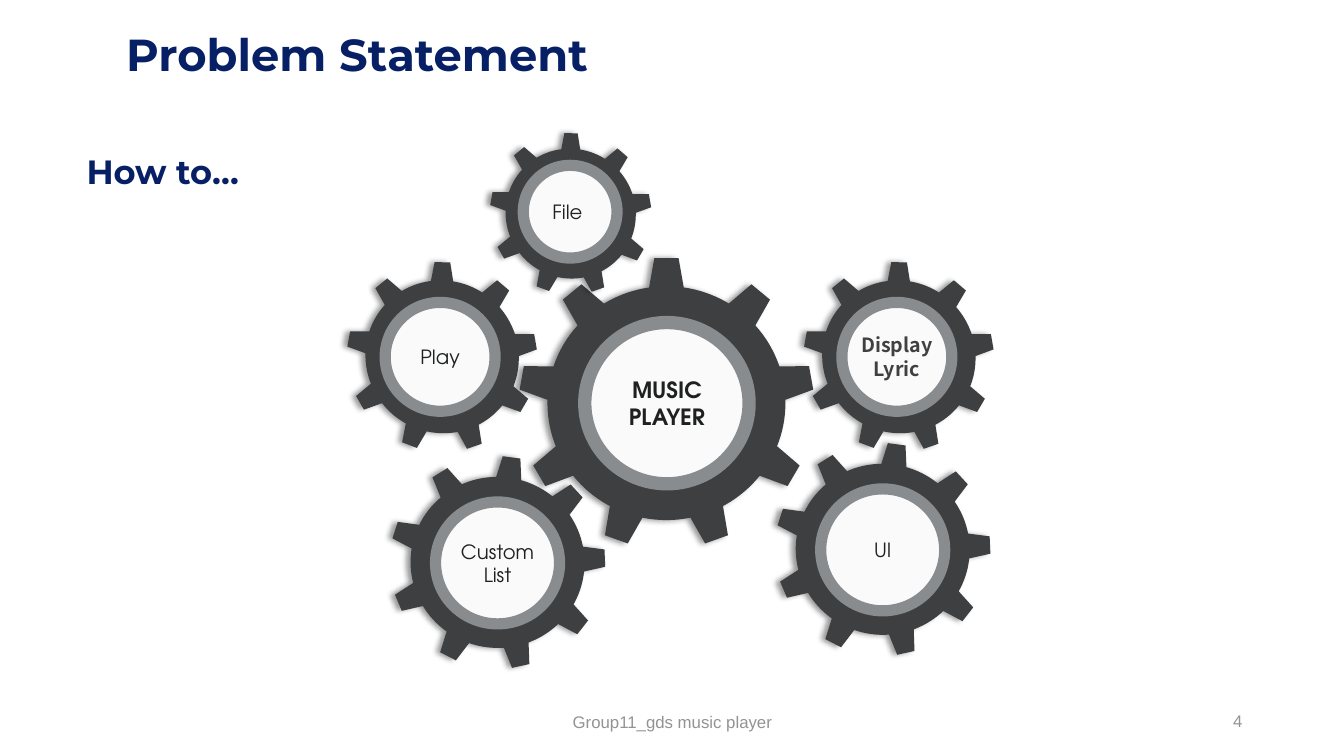
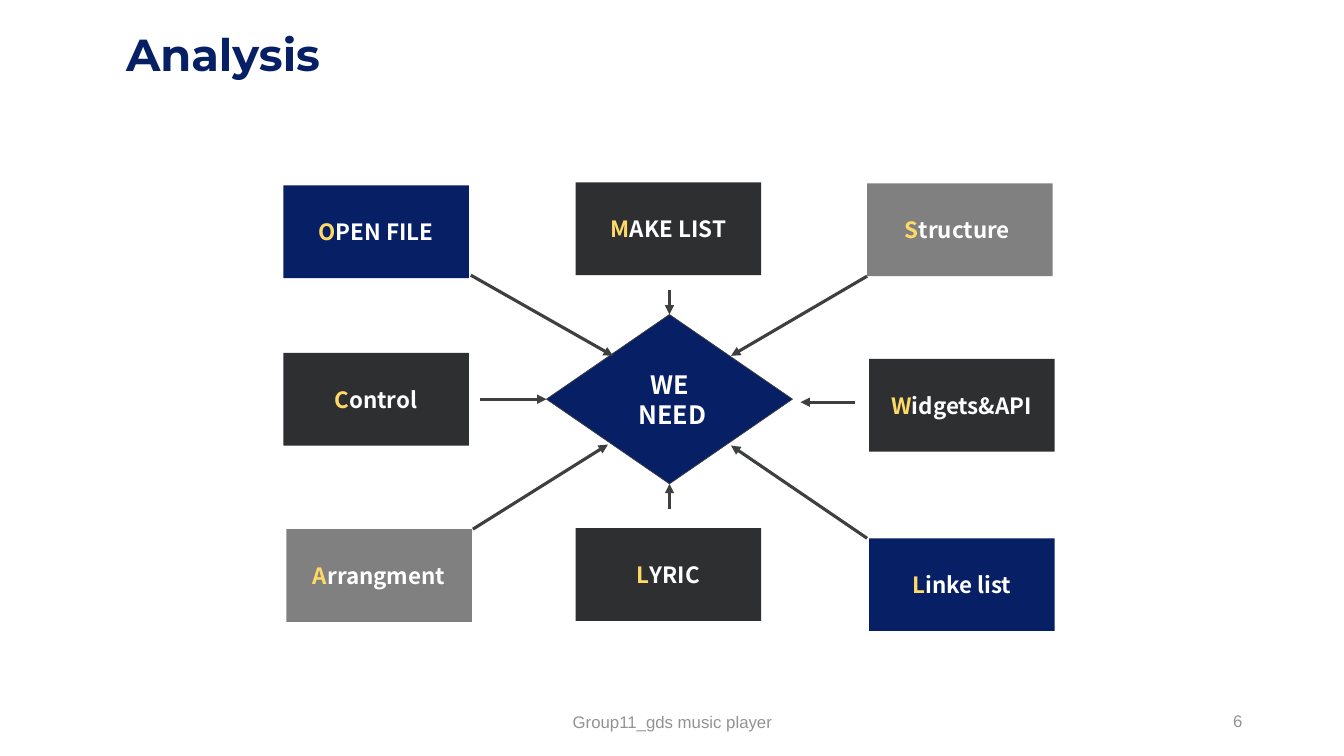
from lxml.etree import SubElement
from pptx import Presentation
from pptx.dml.color import RGBColor
from pptx.enum.shapes import MSO_CONNECTOR, MSO_SHAPE
from pptx.enum.text import MSO_ANCHOR, MSO_AUTO_SIZE, PP_ALIGN
from pptx.oxml.ns import qn
from pptx.util import Inches, Pt

NAVY = RGBColor(0x07, 0x1F, 0x65)
STEEL = RGBColor(0x3D, 0x3F, 0x41)
COAL = RGBColor(0x2E, 0x2F, 0x31)
GRAY = RGBColor(0x80, 0x80, 0x80)
RIM = RGBColor(0x88, 0x8C, 0x8F)
MUTED = RGBColor(0x92, 0x93, 0x93)
PAPER = RGBColor(0xFA, 0xFA, 0xFA)
INK = RGBColor(0x1F, 0x20, 0x20)
SOFT = RGBColor(0x40, 0x40, 0x40)
GOLD = RGBColor(0xFF, 0xD9, 0x66)
WHITE = RGBColor(0xFF, 0xFF, 0xFF)

HEAD = "Montserrat"
PLAIN = "Arial"
ROUND = "TeX Gyre Adventor"
SANS = "Noto Sans CJK SC"


def write(par, text, size, font, color, bold=False, align=PP_ALIGN.CENTER):
    par.alignment = align
    run = par.add_run()
    run.text = text
    run.font.size = Pt(size)
    run.font.name = font
    run.font.color.rgb = color
    run.font.bold = bold


def draw(slide, kind, box, fill, line=None, width=0):
    shape = slide.shapes.add_shape(kind, *map(Inches, box))
    shape.shadow.inherit = False
    shape.fill.solid()
    shape.fill.fore_color.rgb = fill
    if line is None:
        shape.line.fill.background()
    else:
        shape.line.color.rgb = line
        shape.line.width = Pt(width)
    shape.text_frame.vertical_anchor = MSO_ANCHOR.MIDDLE
    return shape


deck = Presentation()
deck.slide_width = Inches(13.33)
deck.slide_height = Inches(7.5)

# Shared title, page number and footer
slides = []
for name, page in (("Problem Statement", "4"), ("Analysis", "6")):
    slide = deck.slides.add_slide(deck.slide_layouts[5])
    title = slide.shapes.title
    title.left, title.top = Inches(1.15), Inches(0.09)
    title.width, title.height = Inches(12.09), Inches(0.77)
    frame = title.text_frame
    frame.auto_size = MSO_AUTO_SIZE.NONE
    frame.vertical_anchor = MSO_ANCHOR.BOTTOM
    frame.paragraphs[0].line_spacing = 0.9
    write(frame.paragraphs[0], name, 32, HEAD, NAVY, True, PP_ALIGN.LEFT)

    for text, box, align in (
        (page, (9.42, 6.95, 3, 0.4), PP_ALIGN.RIGHT),
        ("Group11_gds music player", (4.42, 6.96, 4.5, 0.4), PP_ALIGN.CENTER),
    ):
        frame = slide.shapes.add_textbox(*map(Inches, box)).text_frame
        frame.word_wrap = True
        frame.vertical_anchor = MSO_ANCHOR.MIDDLE
        write(frame.paragraphs[0], text, 12, PLAIN, MUTED, align=align)
    slides.append(slide)

first, second = slides

# Slide 1: lead-in
frame = first.shapes.add_textbox(
    Inches(0.76), Inches(1.33), Inches(3.61), Inches(0.58)).text_frame
frame.word_wrap = True
frame.auto_size = MSO_AUTO_SIZE.SHAPE_TO_FIT_TEXT
frame.paragraphs[0].line_spacing = 1.3
write(frame.paragraphs[0], "How to…", 24, HEAD, NAVY, True, PP_ALIGN.LEFT)

# Gear sizes: gear width and height, hub width and height, turn, rim
SIZES = {
    "main": (2.94, 2.9, 1.63, 1.6, 0, 9.5),
    "large": (2.15, 2.12, 1.23, 1.21, 7.6, 8),
    "mid": (1.91, 1.88, 1.09, 1.08, 40.5, 8),
    "small": (1.62, 1.6, 0.93, 0.92, 40.5, 8),
}
# Gears: lines, size, gear corner, hub corner, font size, font, colour, bold
GEARS = (
    (["MUSIC PLAYER"], "main", (5.14, 2.55), (5.8, 3.2), 16, ROUND, INK, True),
    (["Custom List"], "large", (3.86, 4.52), (4.32, 4.98), 14, ROUND, INK, False),
    (["Play"], "mid", (3.43, 2.6), (3.82, 3), 14, ROUND, INK, False),
    (["File "], "small", (4.85, 1.32), (5.19, 1.64), 14, ROUND, INK, False),
    (["UI"], "large", (7.68, 4.39), (8.14, 4.85), 14, ROUND, INK, False),
    (["Display", "Lyric"], "mid", (7.96, 2.6), (8.35, 3), 14, SANS, SOFT, True),
)
for lines, size, spot, mid, points, font, color, bold in GEARS:
    wide, high, across, down, turn, rim = SIZES[size]
    gear = draw(first, MSO_SHAPE.GEAR_9, (*spot, wide, high), STEEL)
    gear.rotation = turn
    # Soft shadow to the left
    glow = SubElement(
        gear.element.spPr.find(qn("a:effectLst")), qn("a:outerShdw"),
        blurRad=str(Pt(4)), dist=str(Pt(3)), dir="10800000",
        algn="r", rotWithShape="0")
    tone = SubElement(glow, qn("a:srgbClr"), val="000000")
    SubElement(tone, qn("a:alpha"), val="40000")

    hub = draw(first, MSO_SHAPE.OVAL, (*mid, across, down), PAPER, RIM, rim)
    frame = hub.text_frame
    frame.word_wrap = True
    frame.margin_left = frame.margin_right = 0
    frame.margin_top = frame.margin_bottom = 0
    for i, text in enumerate(lines):
        par = frame.add_paragraph() if i else frame.paragraphs[0]
        write(par, text, points, font, color, bold)

# Slide 2: centre diamond
core = draw(second, MSO_SHAPE.FLOWCHART_DECISION,
            (5.42, 3.12, 2.44, 1.68), NAVY, STEEL, 0.5)
frame = core.text_frame
frame.word_wrap = False
write(frame.paragraphs[0], "WE", 18, SANS, WHITE, True)
write(frame.add_paragraph(), " NEED", 18, SANS, WHITE, True)

# Needs around the diamond, first letter in gold
NEEDS = (
    ("OPEN FILE", 2.81, 1.84, NAVY),
    ("MAKE LIST", 5.71, 1.81, COAL),
    ("Structure ", 8.6, 1.82, GRAY),
    ("Control", 2.81, 3.5, COAL),
    ("Widgets&API", 8.62, 3.56, COAL),
    ("Arrangment", 2.84, 5.25, GRAY),
    ("LYRIC", 5.71, 5.24, COAL),
    ("Linke list", 8.62, 5.34, NAVY),
)
for text, left, top, fill in NEEDS:
    need = draw(second, MSO_SHAPE.RECTANGLE, (left, top, 1.84, 0.92), fill)
    frame = need.text_frame
    frame.word_wrap = False
    write(frame.paragraphs[0], text[0], 16, SANS, GOLD, True)
    write(frame.paragraphs[0], text[1:], 16, SANS, WHITE, True)

# Arrows inwards: start, end, side of the diamond that is joined
ARROWS = (
    ((4.67, 2.73), (6.08, 3.53), None),
    ((6.64, 2.88), (6.64, 3.12), 0),
    ((8.6, 2.74), (7.25, 3.53), None),
    ((4.76, 3.96), (5.42, 3.96), 1),
    ((8.48, 3.99), (7.94, 3.99), None),
    ((4.69, 5.25), (6.03, 4.41), None),
    ((6.64, 5.05), (6.64, 4.8), 2),
    ((8.6, 5.34), (7.25, 4.42), None),
)
for start, end, side in ARROWS:
    arrow = second.shapes.add_connector(
        MSO_CONNECTOR.STRAIGHT, *map(Inches, start + end))
    if side is not None:
        arrow.end_connect(core, side)
    arrow.line.color.rgb = STEEL
    arrow.line.width = Pt(2.25)
    props = arrow.element.spPr
    SubElement(props.find(qn("a:ln")), qn("a:tailEnd"), type="triangle")
    SubElement(props, qn("a:effectLst"))

deck.save("out.pptx")
